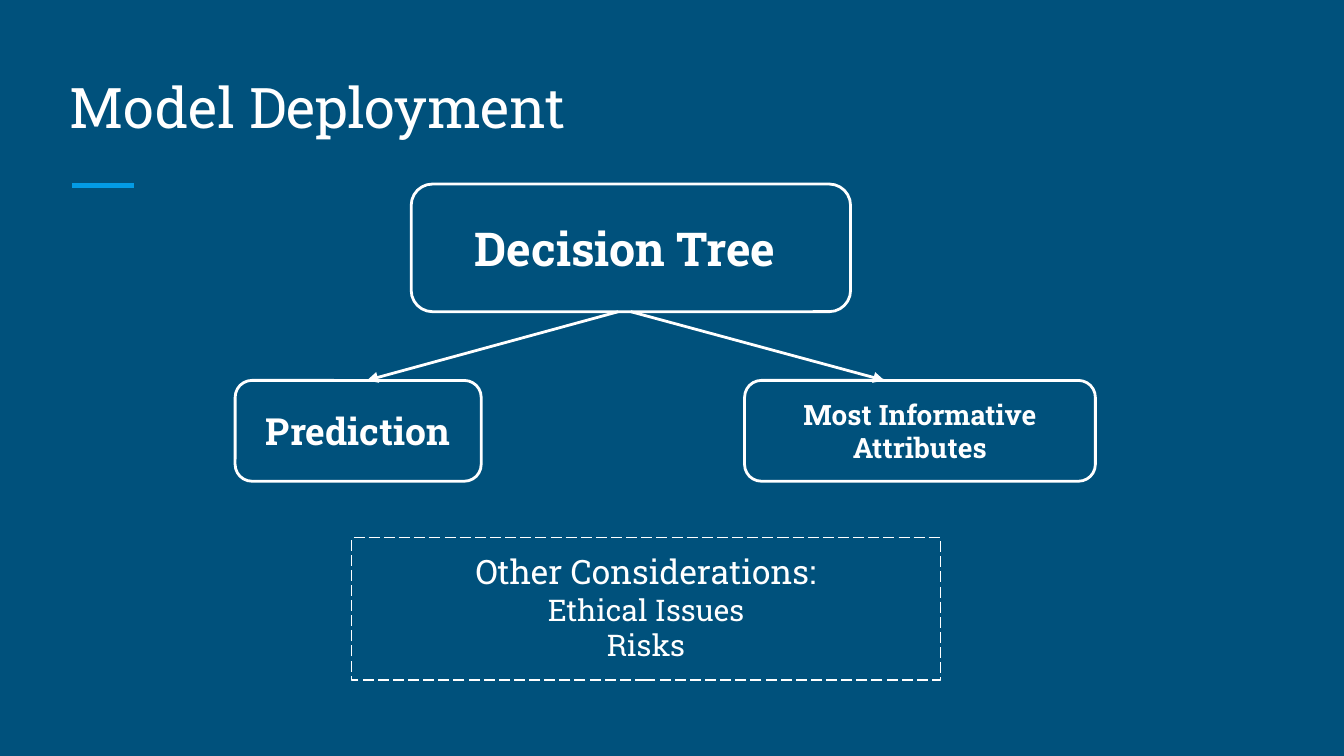
from dataclasses import dataclass

from lxml import etree
from pptx import Presentation
from pptx.dml.color import RGBColor
from pptx.enum.dml import MSO_LINE
from pptx.enum.shapes import MSO_CONNECTOR, MSO_SHAPE
from pptx.enum.text import MSO_ANCHOR, MSO_AUTO_SIZE, PP_ALIGN
from pptx.oxml.ns import qn
from pptx.util import Pt

ROUND, RECT = MSO_SHAPE.ROUNDED_RECTANGLE, MSO_SHAPE.RECTANGLE
LINE = MSO_CONNECTOR.STRAIGHT
DASH = MSO_LINE.LONG_DASH
LEFT, MID = PP_ALIGN.LEFT, PP_ALIGN.CENTER
TOP, CORE, BASE = MSO_ANCHOR.TOP, MSO_ANCHOR.MIDDLE, MSO_ANCHOR.BOTTOM
FIXED = MSO_AUTO_SIZE.NONE


@dataclass(frozen=True)
class Theme:
    """Colours, font and type sizes of the deck."""
    back: str = "00517C"
    ink: str = "FFFFFF"
    accent: str = "039BE5"
    font: str = "Roboto Slab"
    title: int = 30
    root: int = 25
    leaf: int = 20
    small: int = 15
    lead: int = 18
    item: int = 16


THEME = Theme()


def tint(code):
    """Turn a hex code into a colour."""
    return RGBColor.from_string(code)


def write(shape, lines, bold=False, align=MID, anchor=CORE):
    """Write (text, size) lines into a shape."""
    frame = shape.text_frame
    frame.word_wrap = True
    frame.auto_size = FIXED
    frame.vertical_anchor = anchor
    frame.margin_left = frame.margin_right = Pt(7.2)
    frame.margin_top = frame.margin_bottom = Pt(7.2)
    for i, (text, size) in enumerate(lines):
        para = frame.add_paragraph() if i else frame.paragraphs[0]
        para.alignment = align
        run = para.add_run()
        run.text = text
        run.font.name = THEME.font
        run.font.size = Pt(size)
        run.font.bold = bold
        run.font.color.rgb = tint(THEME.ink)


def frame_box(slide, kind, box, width):
    """Add an unfilled outlined shape."""
    shape = slide.shapes.add_shape(kind, *map(Pt, box))
    shape.shadow.inherit = False
    shape.fill.background()
    shape.line.color.rgb = tint(THEME.ink)
    shape.line.width = Pt(width)
    return shape


def stroke(slide, start, end, color, width, arrow=False):
    """Draw a straight line, with an arrowhead at its end if asked."""
    line = slide.shapes.add_connector(LINE, *map(Pt, (*start, *end)))
    line.line.color.rgb = tint(color)
    line.line.width = Pt(width)
    props = line._element.spPr
    if arrow:
        tip = etree.SubElement(props.find(qn("a:ln")), qn("a:tailEnd"))
        tip.set("type", "triangle")
    etree.SubElement(props, qn("a:effectLst"))
    return line


def head(slide, box):
    """Place the title and the accent rule below it."""
    x, y, w, h = box
    title = slide.shapes.title
    title.left, title.top, title.width, title.height = map(Pt, box)
    write(title, [("Model Deployment", THEME.title)], align=LEFT, anchor=BASE)
    rule = y + h + 17.2
    stroke(slide, (x + 8.4, rule), (x + 41.7, rule), THEME.accent, 3)


def tree(slide, box):
    """Place the root node, its two leaves and the arrows."""
    x, y, w, h = box
    deep, low = 68.4, 54
    fork, row = y + deep, y + h - low
    nodes = [
        ("Decision Tree ", THEME.root, (x + 94.3, y, 235.4, deep)),
        ("Prediction", THEME.leaf, (x, row, 131.8, low)),
        ("Most Informative Attributes", THEME.small,
         (x + w - 187.9, row, 187.9, low)),
    ]
    made = []
    for text, size, spot in nodes:
        node = frame_box(slide, ROUND, spot, 1.5)
        write(node, [(text, size)], bold=True)
        made.append(node)
    for start, end in ((205.2, 70.6), (212, 347.8)):
        line = stroke(slide, (x + start, fork), (x + end, row),
                      THEME.ink, 1.5, arrow=True)
    line.begin_connect(made[0], 2)


def note(slide, box):
    """Place the dashed box of further points."""
    shape = frame_box(slide, RECT, box, 0.75)
    shape.line.dash_style = DASH
    lines = [("Other Considerations:", THEME.lead),
             ("Ethical Issues", THEME.item), ("Risks", THEME.item)]
    write(shape, lines, anchor=TOP)


def main():
    """Build and save the deck."""
    deck = Presentation()
    deck.slide_width, deck.slide_height = Pt(720), Pt(405)
    slide = deck.slides.add_slide(deck.slide_layouts[5])
    slide.background.fill.solid()
    slide.background.fill.fore_color.rgb = tint(THEME.back)
    head(slide, (30.2, 28.1, 658.8, 54))
    tree(slide, (126, 98.6, 460.8, 159.2))
    note(slide, (188.4, 288, 315.4, 76.3))
    deck.save("out.pptx")


if __name__ == "__main__":
    main()
